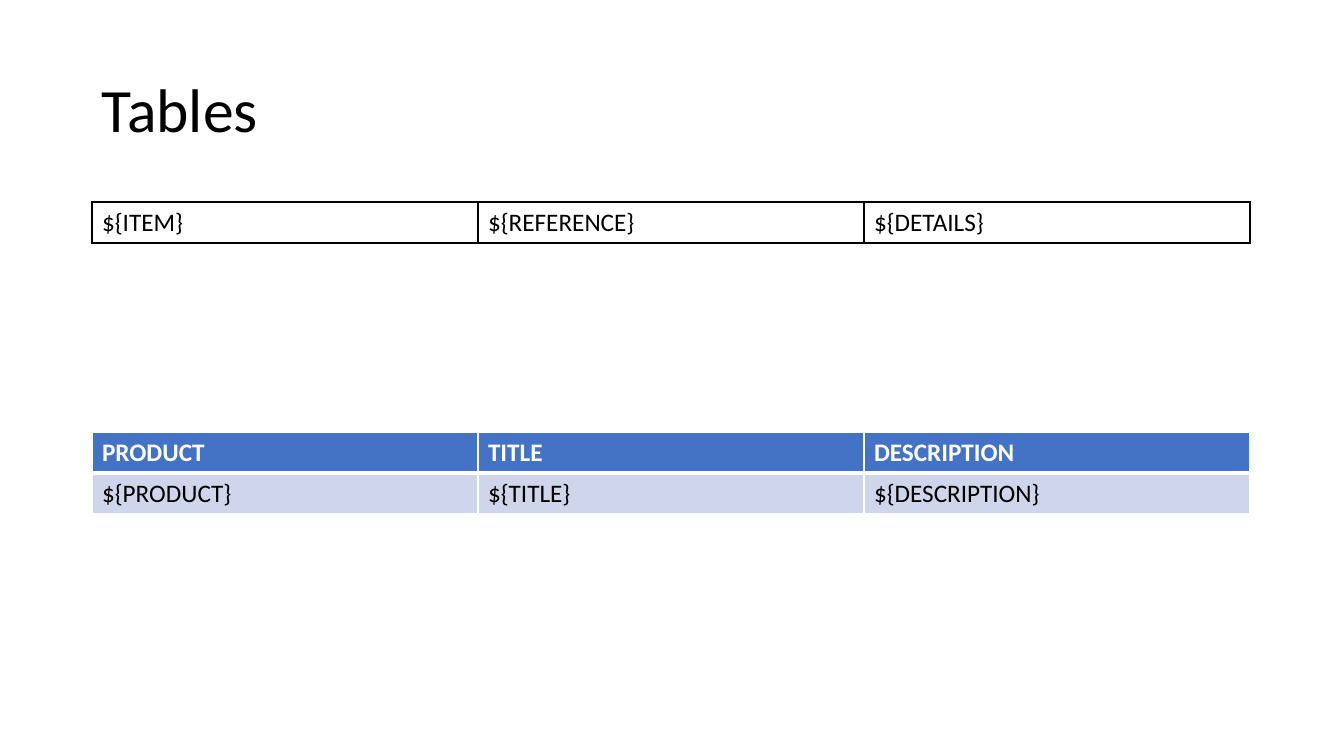
from dataclasses import dataclass

from lxml.etree import SubElement
from pptx import Presentation
from pptx.dml.color import RGBColor
from pptx.enum.text import MSO_ANCHOR
from pptx.oxml.ns import qn
from pptx.util import Emu, Pt


@dataclass(frozen=True)
class Theme:
    font: str = "Calibri"
    title_size: int = 44
    table_size: int = 18
    black: str = "000000"
    white: str = "FFFFFF"
    header_fill: str = "4472C4"
    body_fill: str = "CFD5EA"


theme = Theme()
PX = 914400 / 100.8
LEFT, COLUMN_WIDTH, ROW_HEIGHT = 92, 386, 41


def px(length):
    return Emu(round(length * PX))


def draw_borders(cell, color, widths):
    """Draw the cell's borders; widths are points for left, right, top, bottom."""
    properties = cell._tc.get_or_add_tcPr()
    for side, width in zip("LRTB", widths):
        line = SubElement(properties, qn(f"a:ln{side}"), w=str(Pt(width)))
        SubElement(SubElement(line, qn("a:solidFill")), qn("a:srgbClr"), val=color)


deck = Presentation()
deck.slide_width, deck.slide_height = px(1344), px(756)
page = deck.slides.add_slide(deck.slide_layouts[6])

title = page.shapes.add_textbox(px(LEFT), px(40), px(1159), px(146))
title.text_frame.word_wrap = True
title.text_frame.vertical_anchor = MSO_ANCHOR.MIDDLE
para = title.text_frame.paragraphs[0]
para.text = "Tables"
para.line_spacing = 0.9
para.font.name = theme.font
para.font.size = Pt(theme.title_size)
para.font.color.rgb = RGBColor.from_string(theme.black)

# Each row: texts, text colour, fill, bold, border widths
items = [
    (("${ITEM}", "${REFERENCE}", "${DETAILS}"), theme.black, None, False, (1, 1, 1, 1)),
]
products = [
    (("PRODUCT", "TITLE", "DESCRIPTION"), theme.white, theme.header_fill, True, (1, 1, 1, 3)),
    (("${PRODUCT}", "${TITLE}", "${DESCRIPTION}"), theme.black, theme.body_fill, False, (1, 1, 3, 1)),
]

for top, border_color, rows in ((202, theme.black, items), (432, theme.white, products)):
    columns = len(rows[0][0])
    table = page.shapes.add_table(
        len(rows), columns, px(LEFT), px(top),
        px(COLUMN_WIDTH * columns), px(ROW_HEIGHT * len(rows)),
    ).table
    table.first_row = len(rows) > 1
    table.horz_banding = False
    for row_index, (texts, text_color, fill, bold, widths) in enumerate(rows):
        for column_index, text in enumerate(texts):
            cell = table.cell(row_index, column_index)
            draw_borders(cell, border_color, widths)
            if fill:
                cell.fill.solid()
                cell.fill.fore_color.rgb = RGBColor.from_string(fill)
            else:
                cell.fill.background()
            para = cell.text_frame.paragraphs[0]
            para.text = text
            para.font.name = theme.font
            para.font.size = Pt(theme.table_size)
            para.font.bold = bold
            para.font.color.rgb = RGBColor.from_string(text_color)

deck.save("out.pptx")
